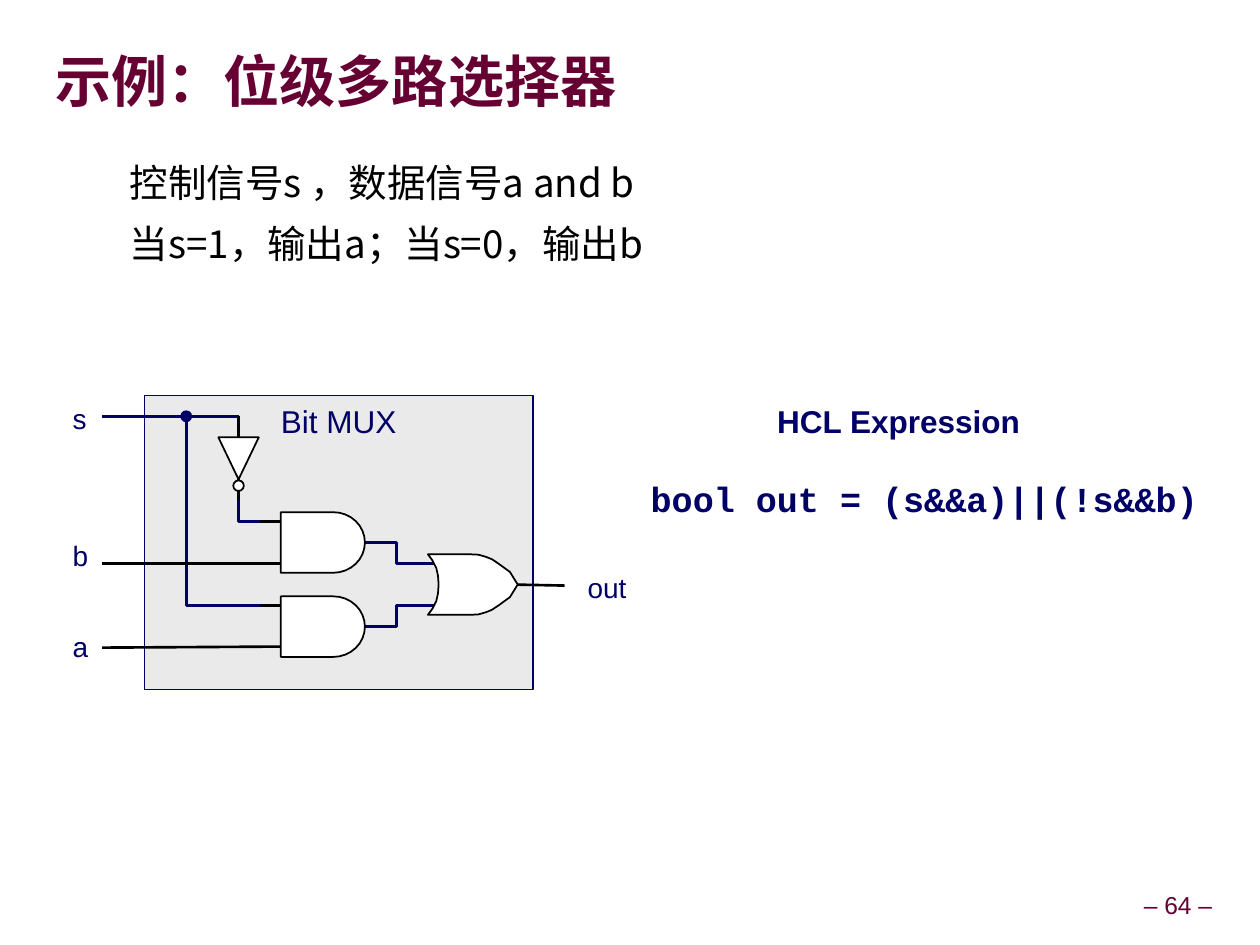
from math import cos, pi, sin
from lxml.etree import SubElement
from pptx import Presentation
from pptx.dml.color import RGBColor
from pptx.enum.shapes import MSO_CONNECTOR, MSO_SHAPE
from pptx.enum.text import MSO_ANCHOR, MSO_AUTO_SIZE, PP_ALIGN
from pptx.oxml.ns import qn
from pptx.util import Inches, Pt

HUES = {"plum": "660033", "navy": "000066", "ink": "000000",
        "paper": "FFFFFF", "mist": "EAEAEA"}
LEFT, TOP, STEP = 0.81, 3.3, 1 / 6
CJK = "Noto Sans CJK SC"


def hue(name):
    return RGBColor.from_string(HUES[name])


def assign(item, values):
    for key, value in values.items():
        setattr(item, key, value)


class Board:
    def __init__(self, slide):
        self.slide = slide
        self.shapes = slide.shapes

    def spot(self, col, row):
        return Inches(LEFT + col * STEP), Inches(TOP + row * STEP)

    def area(self, col, row, wide, high):
        return *self.spot(col, row), Inches(wide * STEP), Inches(high * STEP)

    def paint(self, shape, fill, line, width):
        shape.shadow.inherit = False
        if fill:
            shape.fill.solid()
            shape.fill.fore_color.rgb = hue(fill)
        else:
            shape.fill.background()
        shape.line.color.rgb = hue(line)
        shape.line.width = Pt(width)
        return shape

    def letter(self, frame, lines, size, tint, face="Arial", bold=False,
               anchor=MSO_ANCHOR.TOP, pad=(0.1, 0.05, 0.1, 0.05), **form):
        sides = ("margin_left", "margin_top", "margin_right", "margin_bottom")
        assign(frame, {"word_wrap": True, "auto_size": MSO_AUTO_SIZE.NONE,
                       "vertical_anchor": anchor})
        assign(frame, dict(zip(sides, map(Inches, pad))))
        for i, line in enumerate(lines):
            para = frame.add_paragraph() if i else frame.paragraphs[0]
            assign(para, {"alignment": PP_ALIGN.LEFT, **form})
            run = para.add_run()
            run.text = line
            assign(run.font, {"size": Pt(size), "bold": bold, "name": face})
            run.font.color.rgb = hue(tint)
            SubElement(run.font._element, qn("a:ea"), typeface=face)

    def title(self, area, text, **style):
        shape = self.shapes.title
        assign(shape, dict(zip(("left", "top", "width", "height"),
                               self.area(*area))))
        self.letter(shape.text_frame, [text], **style)

    def text(self, area, *lines, **style):
        box = self.shapes.add_textbox(*self.area(*area))
        self.letter(box.text_frame, lines, **style)

    def shape(self, kind, area, fill, line, width):
        item = self.shapes.add_shape(kind, *self.area(*area))
        return self.paint(item, fill, line, width)

    def disc(self, col, row, fill, line, width):
        self.shape(MSO_SHAPE.OVAL, (col - 0.25, row - 0.25, 0.5, 0.5),
                   fill, line, width)

    def trace(self, points, fill, line, width, close):
        spots = [self.spot(*point) for point in points]
        pen = self.shapes.build_freeform(*spots[0])
        pen.add_line_segments(spots[1:], close=close)
        self.paint(pen.convert_to_shape(), fill, line, width)

    def wire(self, *points, tint="navy"):
        if len(points) > 2:
            self.trace(points, None, tint, 1.5, False)
            return
        start, end = (self.spot(*point) for point in points)
        line = self.shapes.add_connector(MSO_CONNECTOR.STRAIGHT, *start, *end)
        line.line.color.rgb = hue(tint)
        line.line.width = Pt(1.5)
        SubElement(line._element.spPr, qn("a:effectLst"))

    def gate(self, points):
        self.trace(points, "paper", "ink", 1, True)

    def both(self, col, row):
        arc = [(col + 2.5 + 1.5 * cos(i * pi / 16), row + 1.44 * sin(i * pi / 16))
               for i in range(-8, 9)]
        self.gate([(col, row - 1.44), *arc, (col, row + 1.44)])

    def either(self, col, row):
        nose = [(2, 1.44), (2.4, 1.42), (2.75, 1.32), (3.05, 1.2),
                (3.35, 1), (3.9, 0.6), (4.27, 0)]
        back = [(0.51, 0), (0.48, 0.42), (0.4, 0.78), (0.22, 1.14), (0, 1.44)]
        upper = [(x, -y) for x, y in nose]
        inner = [(x, -y) for x, y in back[1:]]
        loop = upper + nose[-2::-1] + back[::-1] + inner
        self.gate([(col + x, row + y) for x, y in loop])


def main():
    deck = Presentation()
    deck.slide_width, deck.slide_height = Inches(9.99), Inches(7.49)
    board = Board(deck.slides.add_slide(deck.slide_layouts[5]))
    mid = PP_ALIGN.CENTER

    board.title((-2.22, -18.18, 55.8, 4.86), "示例：位级多路选择器", size=32,
                tint="plum", face=CJK, bold=True, anchor=MSO_ANCHOR.MIDDLE,
                pad=(0, 0, 0, 0), line_spacing=0.87)
    board.text((-2.58, -12.96, 54.4, 7.92), "控制信号s ，数据信号a and b",
               "当s=1，输出a；当s=0，输出b", size=22, tint="ink", face=CJK,
               pad=(0.65, 0.05, 0.1, 0.05), line_spacing=1.2,
               space_before=Pt(3))

    box = board.shape(MSO_SHAPE.RECTANGLE, (2, -1, 18.5, 14),
                      "mist", "navy", 0.75)
    board.letter(box.text_frame, ["Bit MUX"], 18, "navy", alignment=mid)

    board.wire((0, 0), (6.5, 0))
    board.wire((4, 0), (4, 9), (7.5, 9))
    board.wire((6.5, 4), (6.5, 5), (7.5, 5))
    for row, port in ((6, 7), (10, 9)):
        board.wire((12.5, row), (14, row), (14, port), (16, port))
    for start, end in (((6.5, 0), (6.5, 1)), ((6.5, 3), (6.5, 4)),
                       ((7.5, 5), (8.5, 5)), ((7.5, 9), (8.5, 9)),
                       ((0, 7), (8.5, 7)), ((0, 11), (8.5, 10.95)),
                       ((19.5, 8), (22, 8.05))):
        board.wire(start, end, tint="ink")

    board.gate([(5.53, 1), (7.45, 1), (6.49, 3)])
    board.disc(6.49, 3.3, "paper", "ink", 1)
    board.disc(4, 0, "navy", "navy", 0.75)
    for row in (6, 10):
        board.both(8.5, row)
    board.either(15.5, 8)

    for name, col, row in (("s", -2, -1), ("b", -2, 5.5),
                           ("a", -2, 9.84), ("out", 22.5, 7.02)):
        board.text((col, row, 4, 2.2), name, size=16, tint="navy")

    note = {"pad": (0.05,) * 4, "alignment": mid, "line_spacing": 0.9}
    board.text((30.89, -0.78, 14, 2.22), "HCL Expression", size=18,
               tint="navy", bold=True, **note)
    board.text((25.12, 2.82, 28, 2.46), "bool out = (s&&a)||(!s&&b)", size=20,
               tint="navy", face="Courier New", bold=True, **note)
    board.text((48.68, 22.38, 5, 1.86), "– 64 –", size=14, tint="plum",
               anchor=MSO_ANCHOR.MIDDLE, **note)
    deck.save("out.pptx")


if __name__ == "__main__":
    main()
